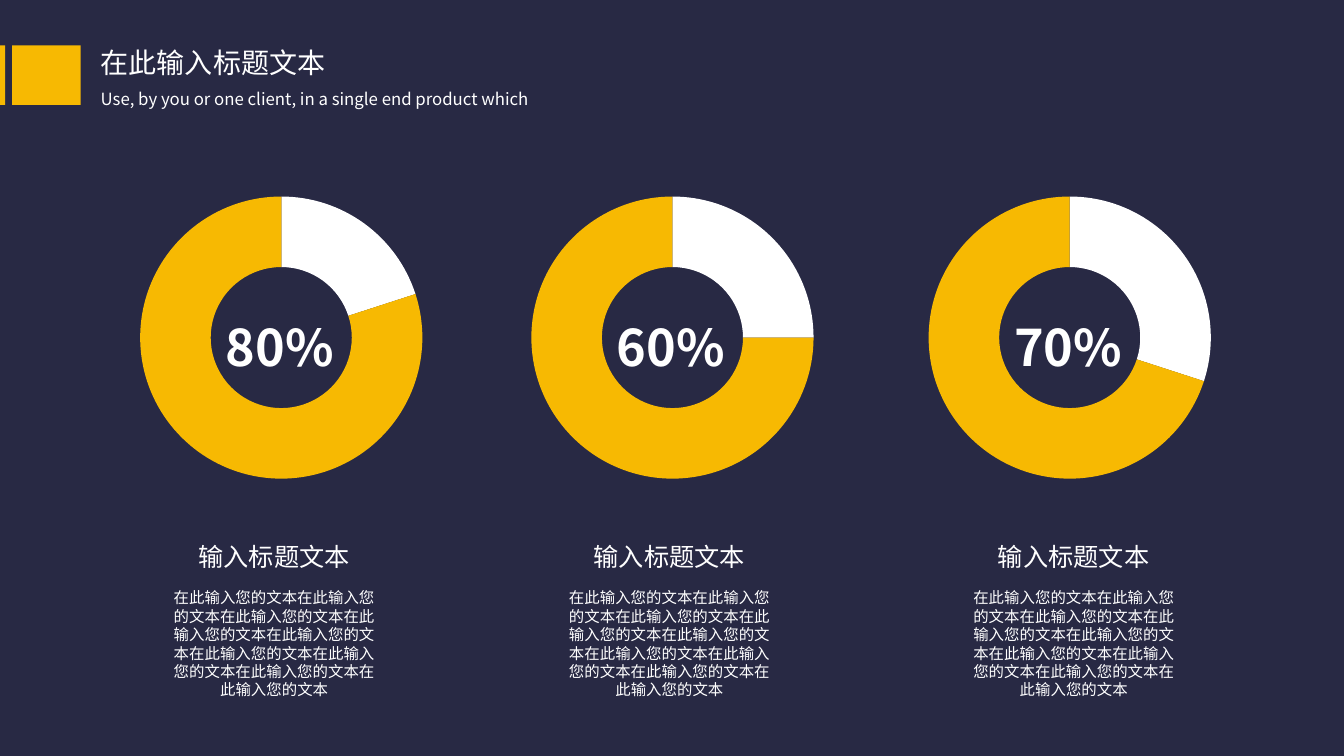
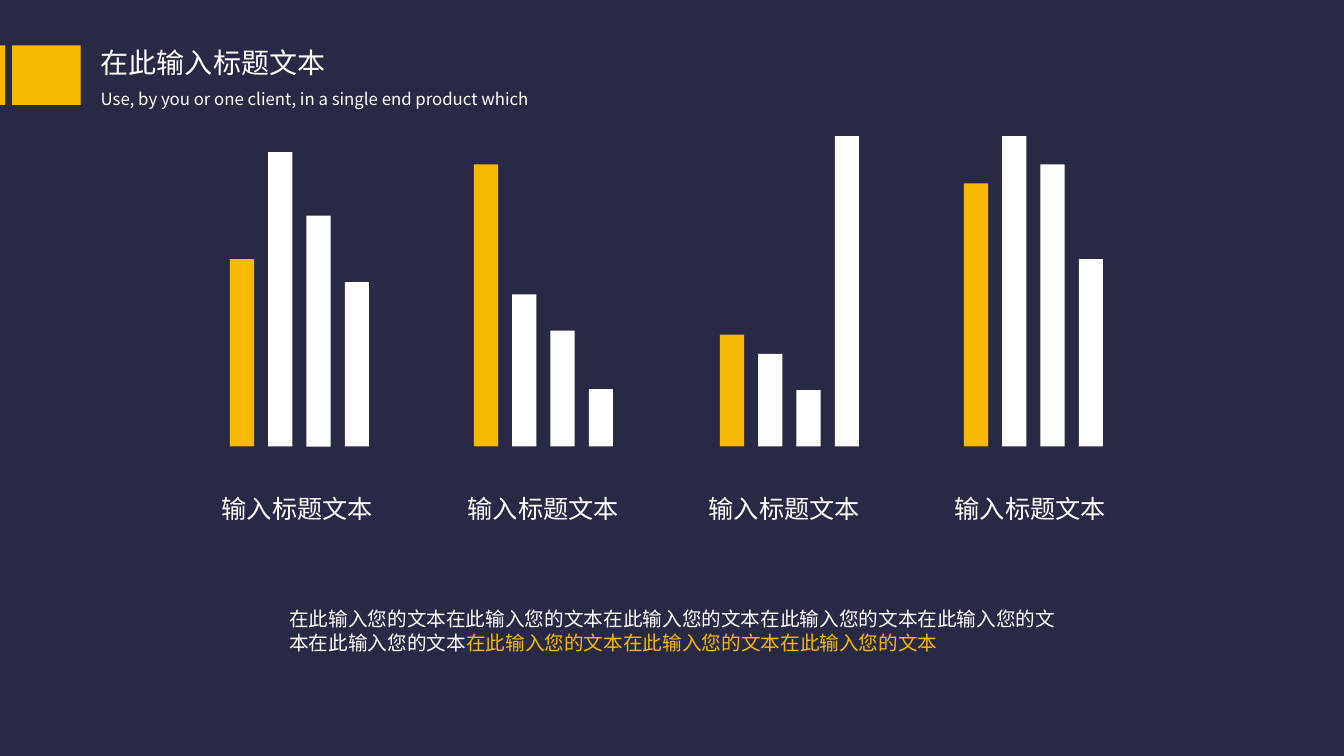
from lxml import etree
from pptx import Presentation
from pptx.chart.data import CategoryChartData
from pptx.dml.color import RGBColor
from pptx.enum.chart import XL_CHART_TYPE
from pptx.enum.shapes import MSO_SHAPE
from pptx.enum.text import MSO_ANCHOR, PP_ALIGN
from pptx.oxml import parse_xml
from pptx.oxml.ns import nsdecls, qn
from pptx.util import Inches, Pt

DOUGHNUT = XL_CHART_TYPE.DOUGHNUT
RECTANGLE = MSO_SHAPE.RECTANGLE
MIDDLE = MSO_ANCHOR.MIDDLE
LEFT, CENTER = PP_ALIGN.LEFT, PP_ALIGN.CENTER

COLORS = {"navy": "282944", "gold": "F7B902", "white": "FFFFFF", "black": "000000"}
FONT = "Noto Sans CJK SC"
TITLE = "在此输入标题文本"
SUBTITLE = "Use, by you or one client, in a single end product which"
HEADING = "输入标题文本"
PHRASE = "在此输入您的文本"

FORMATS = {
    "title": {"size": Pt(20), "bold": False},
    "subtitle": {"size": Pt(12), "bold": False},
    "heading": {"size": Pt(18), "bold": False},
    "body": {"size": Pt(11), "bold": False},
    "summary": {"size": Pt(14), "bold": False},
    "percent": {"size": Pt(36), "bold": True},
}
LINE_HEIGHTS = {"body": Pt(13.2), "summary": Pt(16.8)}

RING_WIDTH, RING_HEIGHT, RING_DIAMETER = 4.62, 3.08, 2.8
RINGS = [
    (0.48, 1.56, "80%", (20, 80)),
    (4.36, 5.48, "60%", (25, 75)),
    (8.3, 9.49, "70%", (30, 70)),
]

BAR_BASE, BAR_WIDTH, BAR_STEP = 4.43, 0.24, 0.38
BAR_GROUPS = [
    (2.28, 2.1, (1.86, 2.92, 2.29, 1.63)),
    (4.7, 4.54, (2.8, 1.51, 1.15, 0.57)),
    (7.14, 6.93, (1.11, 0.92, 0.56, 3.08)),
    (9.56, 9.37, (2.61, 3.08, 2.8, 1.86)),
]


def color(name):
    return RGBColor.from_string(COLORS[name])


def inches(*lengths):
    return [Inches(length) for length in lengths]


class Deck:
    def __init__(self):
        self.presentation = Presentation()
        self.presentation.slide_width = Inches(13.33)
        self.presentation.slide_height = Inches(7.5)
        background = self.presentation.slide_master.background.fill
        background.solid()
        background.fore_color.rgb = color("navy")
        self.slide = None

    def new_slide(self):
        layout = self.presentation.slide_layouts.get_by_name("Title Only")
        self.slide = self.presentation.slides.add_slide(layout)
        title = self.slide.shapes.title
        title.left, title.top, title.width, title.height = inches(0.9, 0.4, 3.96, 0.44)
        self.set_text(title.text_frame, [(TITLE, "white")], "title")
        self.text(0.9, 0.83, 6.67, 0.3, [(SUBTITLE, "white")], "subtitle")
        for left, width in ((0, 0.05), (0.12, 0.68)):
            self.block(left, 0.45, width, 0.59, "gold")

    def set_text(self, frame, runs, style, align=LEFT):
        frame.word_wrap = True
        frame.vertical_anchor = MIDDLE
        paragraph = frame.paragraphs[0]
        paragraph.alignment = align
        if style in LINE_HEIGHTS:
            paragraph.line_spacing = LINE_HEIGHTS[style]
        for words, tint in runs:
            run = paragraph.add_run()
            run.text = words
            for attribute, value in FORMATS[style].items():
                setattr(run.font, attribute, value)
            run.font.color.rgb = color(tint)
            run.font.name = FONT
            east_asian = etree.SubElement(run.font._element, qn("a:ea"))
            east_asian.set("typeface", FONT)

    def text(self, left, top, width, height, runs, style, align=LEFT):
        box = self.slide.shapes.add_textbox(*inches(left, top, width, height))
        self.set_text(box.text_frame, runs, style, align)

    def block(self, left, top, width, height, tint):
        block = self.slide.shapes.add_shape(RECTANGLE, *inches(left, top, width, height))
        block.shadow.inherit = False
        block.fill.solid()
        block.fill.fore_color.rgb = color(tint)
        block.line.fill.background()

    def ring(self, left, top, shares):
        data = CategoryChartData()
        data.categories = ["1", "2"]
        data.add_series("Series 1", shares)
        frame = self.slide.shapes.add_chart(
            DOUGHNUT, *inches(left, top, RING_WIDTH, RING_HEIGHT), data)
        chart = frame.chart
        chart.has_title = False
        chart.has_legend = False
        chart.font.name = FONT
        chart.font.size = Pt(10)
        chart.font.color.rgb = color("black")
        plot = chart.plots[0]
        plot.vary_by_categories = True
        for index, tint in enumerate(("white", "gold")):
            segment = plot.series[0].points[index].format
            segment.fill.solid()
            segment.fill.fore_color.rgb = color(tint)
            segment.line.fill.background()
        self.place_ring(chart)

    def place_ring(self, chart):
        area = chart._chartSpace.chart.plotArea
        for hole in area.iter(qn("c:holeSize")):
            hole.set("val", "75")
        for layout in area.findall(qn("c:layout")):
            area.remove(layout)
        width, height = RING_DIAMETER / RING_WIDTH, RING_DIAMETER / RING_HEIGHT
        settings = {
            "layoutTarget": "inner", "xMode": "edge", "yMode": "edge",
            "x": (1 - width) / 2, "y": (1 - height) / 2, "w": width, "h": height,
        }
        entries = "".join(f'<c:{key} val="{value}"/>' for key, value in settings.items())
        area.insert(0, parse_xml(
            f'<c:layout {nsdecls("c")}><c:manualLayout>{entries}</c:manualLayout></c:layout>'))

    def bars(self, left, heights):
        for index, height in enumerate(heights):
            tint = "white" if index else "gold"
            self.block(left + index * BAR_STEP, BAR_BASE - height, BAR_WIDTH, height, tint)


def add_ring_slide(deck):
    deck.new_slide()
    for ring_left, card_left, percent, shares in RINGS:
        deck.ring(ring_left, 1.81, shares)
        deck.text(ring_left + 1.66, 3.08, 1.33, 0.71, [(percent, "white")], "percent")
        deck.text(card_left + 0.31, 5.32, 1.74, 0.4, [(HEADING, "white")], "heading")
        deck.text(card_left, 5.78, 2.32, 1.21, [(PHRASE * 9, "white")], "body", CENTER)


def add_bar_slide(deck):
    deck.new_slide()
    for bars_left, heading_left, heights in BAR_GROUPS:
        deck.bars(bars_left, heights)
        deck.text(heading_left, 4.84, 1.83, 0.4, [(HEADING, "white")], "heading")
    summary = [(PHRASE * 6, "white"), (PHRASE * 3, "gold")]
    deck.text(2.77, 5.97, 7.92, 0.57, summary, "summary")


def main():
    deck = Deck()
    add_ring_slide(deck)
    add_bar_slide(deck)
    deck.presentation.save("out.pptx")


if __name__ == "__main__":
    main()
